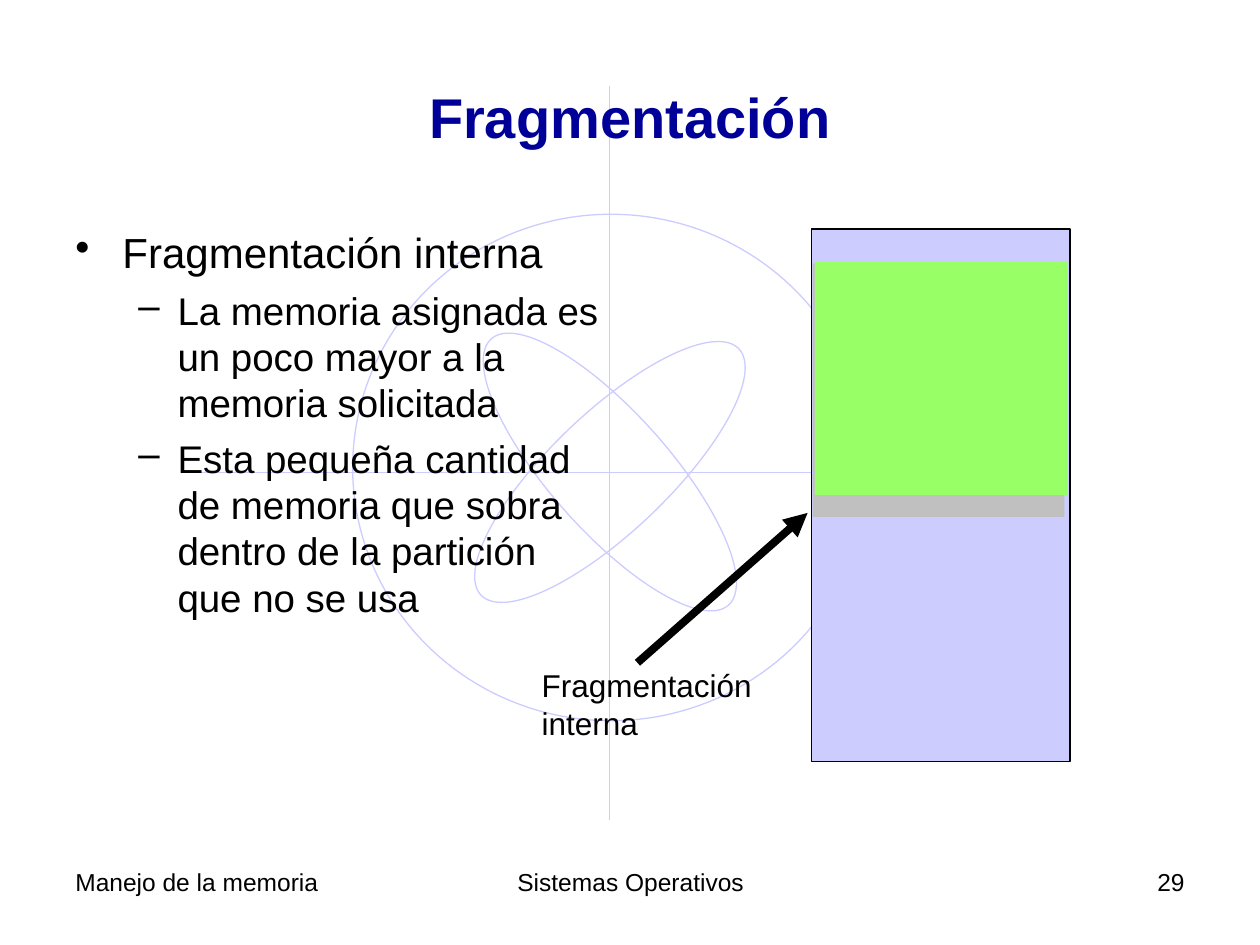
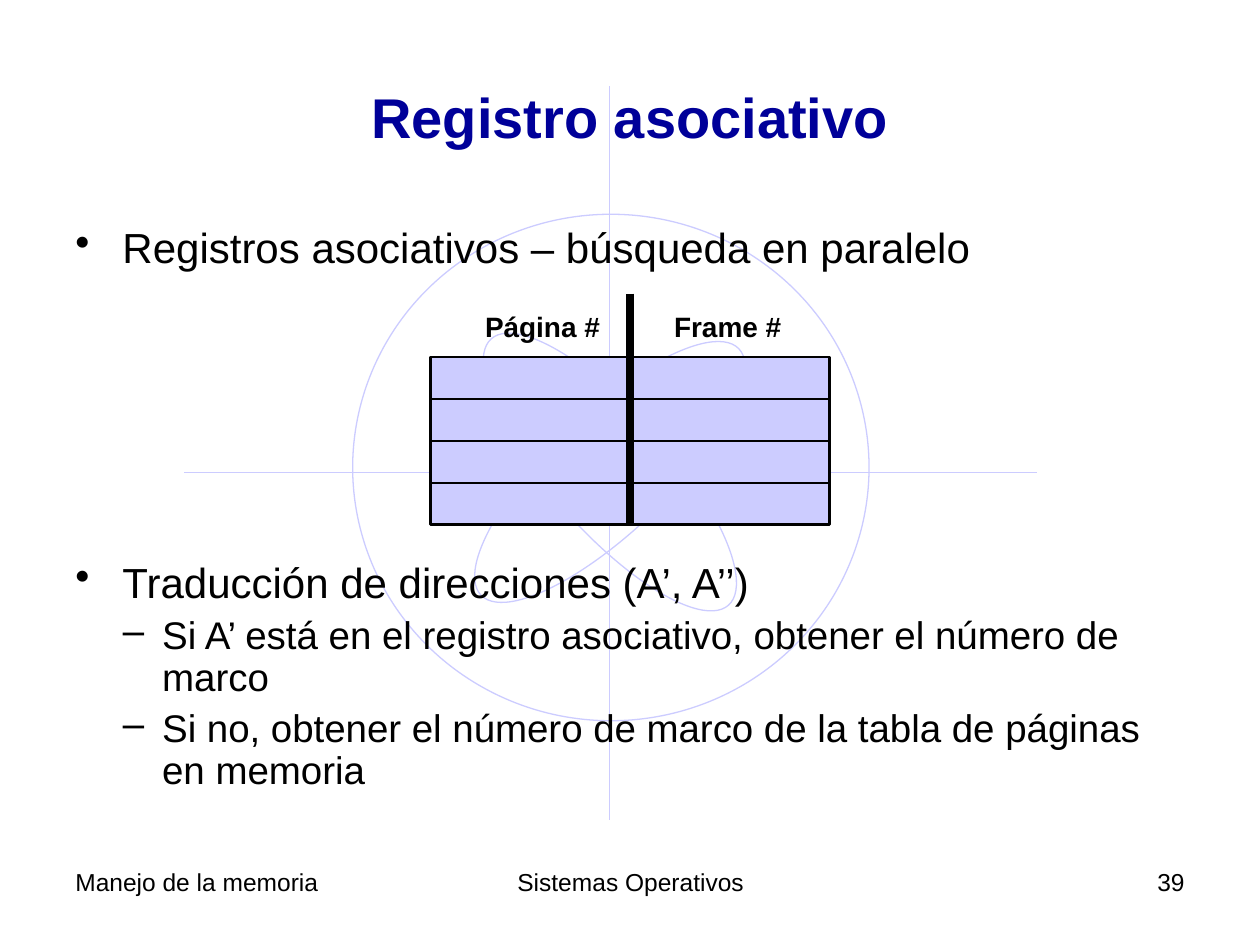
from lxml import etree
from pptx import Presentation
from pptx.dml.color import RGBColor
from pptx.enum import shapes, text
from pptx.oxml import ns
from pptx.util import Cm, Pt

NAVY = RGBColor(0x00, 0x00, 0x99)
LAVENDER = RGBColor(0xCC, 0xCC, 0xFF)
GREEN = RGBColor(0x99, 0xFF, 0x66)
GRAY = RGBColor(0xC0, 0xC0, 0xC0)
BLACK = RGBColor(0, 0, 0)
FONT = "Arial"
LEFT, CENTER, RIGHT = text.PP_ALIGN.LEFT, text.PP_ALIGN.CENTER, text.PP_ALIGN.RIGHT

TITLE_BOX = (1.27, 0.76, 22.86, 3.18)
EMBLEM_AXES = [((12.29, 1.73), (12.29, 16.54)), ((3.71, 9.53), (20.9, 9.53))]
EMBLEM_ORBITS = [
    ((7.11, 4.32, 10.41, 10.21), 0),
    ((11.1, 5.92, 2.39, 7.19), 46.3),
    ((11.1, 5.92, 2.39, 7.19), 318.3),
]
FOOTER_TOP, FOOTER_HEIGHT = 17.35, 1.32
FOOTERS = [
    ("Manejo de la memoria", 1.27, 5.92, LEFT),
    ("Sistemas Operativos", 8.69, 8.05, CENTER),
    ("{number}", 18.21, 5.92, RIGHT),
]
LEVELS = [
    {"bullet": "•", "size": 24, "before": 6, "hang": 0.95},
    {"bullet": "–", "size": 22, "before": 5.5, "hang": 0.79},
]

FRAGMENTATION = {
    "title": "Fragmentación",
    "number": 29,
    "margins": (0.95, 2.06),
    "spacing": 1.0,
    "lists": [((1.27, 4.45, 11.05, 12.57), [
        (0, "Fragmentación interna"),
        (1, "La memoria asignada es un poco mayor a la memoria solicitada"),
        (1, "Esta pequeña cantidad de memoria que sobra dentro de la partición que no se usa"),
    ])],
}
MEMORY_BLOCKS = [
    ((16.36, 4.62, 5.21, 10.74), LAVENDER, 0.75),
    ((16.38, 5.31, 5.08, 5.11), GRAY, None),
    ((16.43, 5.28, 5.08, 4.7), GREEN, None),
]
WASTE_LABEL = ("Fragmentación interna", (10.67, 13.31, 4.83, 1.78))
WASTE_ARROW = ((12.85, 13.36), (16.28, 10.34))

ASSOCIATIVE = {
    "title": "Registro asociativo",
    "number": 39,
    "margins": (0.95, 1.75),
    "spacing": 0.9,
    "lists": [
        ((1.27, 4.45, 22.86, 1.3), [(0, "Registros asociativos – búsqueda en paralelo")]),
        ((1.27, 11.2, 22.86, 5.8), [
            (0, "Traducción de direcciones (A’, A’’)"),
            (1, "Si A’ está en el registro asociativo, obtener el número de marco"),
            (1, "Si no, obtener el número de marco de la tabla de páginas en memoria"),
        ]),
    ],
}
REGISTER_GRID = (8.68, 7.2, 8.04, 3.38)
REGISTER_ROWS = 4
DIVIDER_TOP = 5.92
REGISTER_HEADERS = [("Página #", 9.53), ("Frame #", 13.34)]


def cm(values):
    return [Cm(value) for value in values]


def format_font(font, size, color=BLACK, bold=False):
    for name, value in {"name": FONT, "size": Pt(size), "bold": bold}.items():
        setattr(font, name, value)
    font.color.rgb = color


def add_line(parent, start, end, color, width, arrow=False):
    line = parent.add_connector(shapes.MSO_CONNECTOR.STRAIGHT, *cm(start + end))
    line.line.color.rgb = color
    line.line.width = Pt(width)
    if arrow:
        etree.SubElement(line.line._get_or_add_ln(), ns.qn("a:tailEnd"), type="triangle")
    etree.SubElement(line.element.spPr, ns.qn("a:effectLst"))


def add_block(parent, kind, box, fill=None, line=None, width=None):
    block = parent.add_shape(kind, *cm(box))
    block.shadow.inherit = False
    if fill is None:
        block.fill.background()
    else:
        block.fill.solid()
        block.fill.fore_color.rgb = fill
    if width is None:
        block.line.fill.background()
    else:
        block.line.color.rgb = line
        block.line.width = Pt(width)
    return block


def add_frame(slide, box, anchor=text.MSO_ANCHOR.TOP):
    frame = slide.shapes.add_textbox(*cm(box)).text_frame
    frame.word_wrap = True
    frame.vertical_anchor = anchor
    return frame


def add_label(slide, words, box, size, align=LEFT, bold=False, anchor=text.MSO_ANCHOR.TOP):
    label = add_frame(slide, box, anchor).paragraphs[0]
    label.text = words
    label.alignment = align
    format_font(label.font, size, bold=bold)


def add_list(slide, box, items, margins, spacing):
    frame = add_frame(slide, box)
    for index, (level, words) in enumerate(items):
        style = LEVELS[level]
        item = frame.paragraphs[0] if index == 0 else frame.add_paragraph()
        item.text = words
        properties = item._p.get_or_add_pPr()
        properties.set("marL", str(Cm(margins[level])))
        properties.set("indent", str(-Cm(style["hang"])))
        etree.SubElement(properties, ns.qn("a:buChar"), char=style["bullet"])
        formats = {
            "level": level,
            "line_spacing": spacing,
            "space_before": Pt(style["before"] if index else 0),
        }
        for name, value in formats.items():
            setattr(item, name, value)
        format_font(item.font, style["size"])


def move_emblem_to_layout(slide):
    emblem = slide.shapes.add_group_shape()
    for start, end in EMBLEM_AXES:
        add_line(emblem.shapes, start, end, LAVENDER, 0.75)
    for box, angle in EMBLEM_ORBITS:
        orbit = add_block(emblem.shapes, shapes.MSO_SHAPE.OVAL, box, None, LAVENDER, 0.75)
        orbit.rotation = angle
    for number, node in enumerate(emblem.element.iter(ns.qn("p:cNvPr")), 100):
        node.set("id", str(number))
    slide.slide_layout.shapes.element.append(emblem.element)


def add_slide(deck, content):
    slide = deck.slides.add_slide(deck.slide_layouts[5])
    title = slide.shapes.title
    for name, value in zip(("left", "top", "width", "height"), cm(TITLE_BOX)):
        setattr(title, name, value)
    title.text = content["title"]
    title.text_frame.vertical_anchor = text.MSO_ANCHOR.MIDDLE
    heading = title.text_frame.paragraphs[0]
    heading.alignment = CENTER
    format_font(heading.font, 32, NAVY, True)
    for box, items in content["lists"]:
        add_list(slide, box, items, content["margins"], content["spacing"])
    for words, left, width, align in FOOTERS:
        box = (left, FOOTER_TOP, width, FOOTER_HEIGHT)
        add_label(slide, words.format(number=content["number"]), box, 14, align)
    return slide


def draw_memory(slide):
    for box, fill, width in MEMORY_BLOCKS:
        add_block(slide.shapes, shapes.MSO_SHAPE.RECTANGLE, box, fill, BLACK, width)
    add_label(slide, *WASTE_LABEL, 18)
    add_line(slide.shapes, *WASTE_ARROW, BLACK, 4.5, arrow=True)


def draw_register(slide):
    left, top, width, height = REGISTER_GRID
    add_block(slide.shapes, shapes.MSO_SHAPE.RECTANGLE, REGISTER_GRID, LAVENDER, BLACK, 1.5)
    middle = left + width / 2
    add_line(slide.shapes, (middle, DIVIDER_TOP), (middle, top + height), BLACK, 4.5)
    for row in range(1, REGISTER_ROWS):
        y = top + row * height / REGISTER_ROWS
        add_line(slide.shapes, (left, y), (left + width, y), BLACK, 1.5)
    for words, x in REGISTER_HEADERS:
        add_label(slide, words, (x, 6.15, 3.6, 0.84), 16, bold=True,
                  anchor=text.MSO_ANCHOR.MIDDLE)


def main():
    deck = Presentation()
    deck.slide_width, deck.slide_height = cm((25.4, 19.05))
    fragmentation = add_slide(deck, FRAGMENTATION)
    move_emblem_to_layout(fragmentation)
    draw_memory(fragmentation)
    draw_register(add_slide(deck, ASSOCIATIVE))
    deck.save("out.pptx")


if __name__ == "__main__":
    main()
